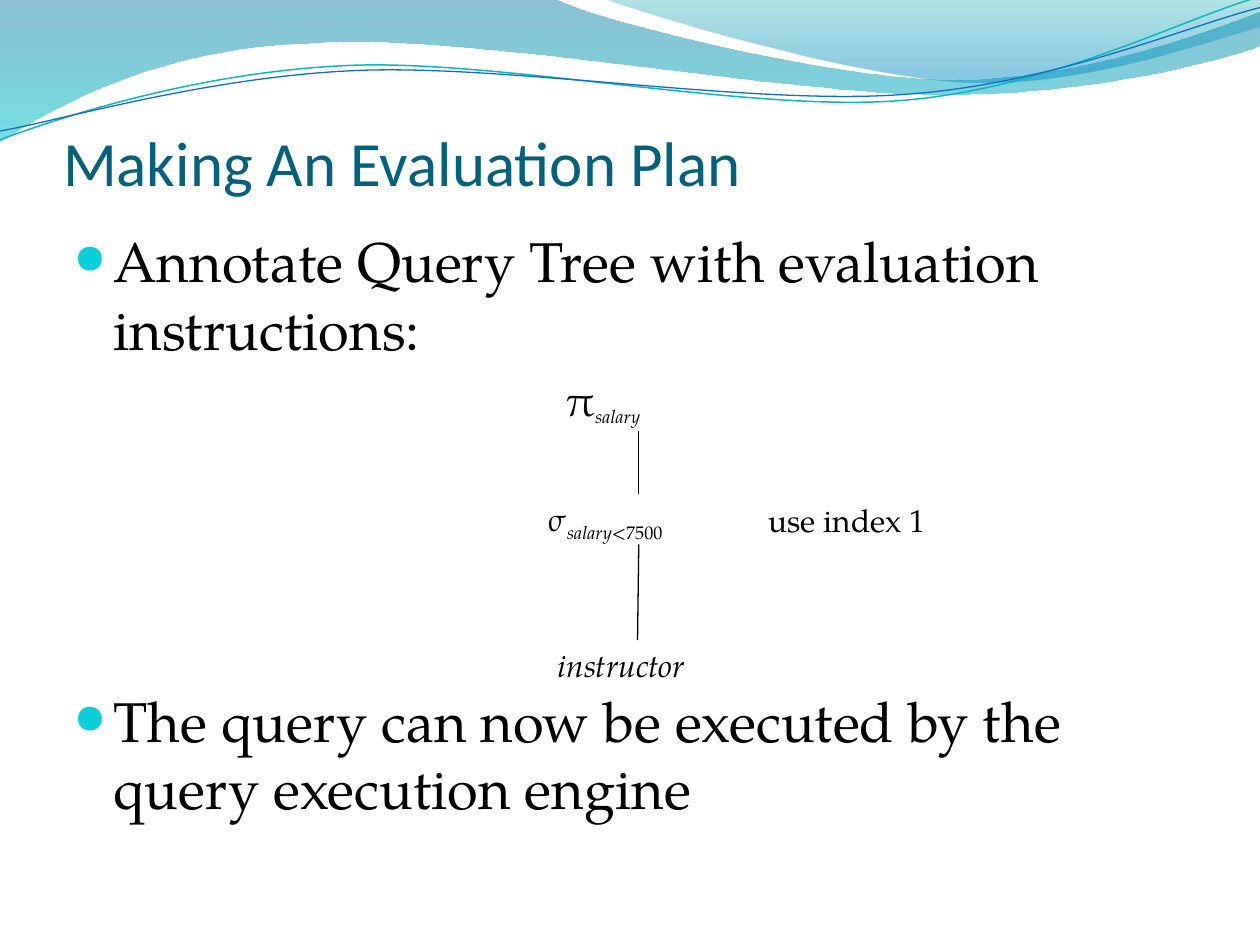
from dataclasses import dataclass
from typing import NamedTuple

from lxml import etree
from pptx import Presentation
from pptx.dml.color import RGBColor
from pptx.enum.shapes import MSO_CONNECTOR
from pptx.enum.text import MSO_ANCHOR, MSO_AUTO_SIZE, PP_ALIGN
from pptx.oxml.ns import qn
from pptx.util import Inches, Pt

STRAIGHT = MSO_CONNECTOR.STRAIGHT
TOP, BOTTOM = MSO_ANCHOR.TOP, MSO_ANCHOR.BOTTOM
NO_FIT = MSO_AUTO_SIZE.NONE
LEFT = PP_ALIGN.LEFT

COLUMNS, ROWS = 10, 7.5
UNIT = Inches(1)  # one grid column or row
MARGIN = 0.5

SERIF, SANS = "TeX Gyre Pagella", "Calibri"
BLACK, TEAL, AQUA = "000000", "04617B", "0BD0D9"

Point = tuple[float, float]


class Stop(NamedTuple):
    position: float
    color: str
    opacity: int


class Piece(NamedTuple):
    text: str
    size: int = 18
    italic: bool = False
    subscript: bool = False


@dataclass
class Wave:
    start: Point
    segments: list[tuple[float, ...]]  # an end point, or two control points and an end point
    stops: tuple[Stop, ...] = ()
    line: str = ""
    weight: float = 0


@dataclass
class Node:
    column: float
    row: float
    width: float
    height: float
    pieces: list[Piece]
    wrap: bool = True


WAVES = [
    Wave((0, 0), [(4.4, -0.01), (4.76, 0.17, 6.64, 0.63, 7.58, 0.63),
                  (8.53, 0.63, 9.58, 0.26, 10, 0.09), (10.01, 0.36),
                  (9.83, 0.44, 8.7, 0.76, 7.46, 0.75), (6.22, 0.75, 3.82, 0.28, 2.57, 0.34),
                  (1.29, 0.36, 0.46, 0.83, -0.01, 1.13)],
         stops=(Stop(0, "0074A1", 45), Stop(1, "00C6CF", 55))),
    Wave((4.79, -0.01), [(5.09, 0.11, 6.82, 0.62, 7.69, 0.65),
                         (8.56, 0.69, 9.61, 0.32, 10, 0.21), (10, 0)],
         stops=(Stop(0, "00A1A9", 30), Stop(0.8, "008BBF", 45))),
    Wave((0, 1.11), [(0.48, 0.93, 1.58, 0.57, 2.77, 0.52), (3.95, 0.47, 5.93, 0.89, 7.13, 0.8),
                     (8.33, 0.71, 9.38, 0.15, 9.98, -0.02)], line="0AB8BF", weight=0.85),
    Wave((0, 1.04), [(0.47, 0.96, 1.64, 0.61, 2.83, 0.56), (4.03, 0.51, 5.97, 0.84, 7.17, 0.75),
                     (8.36, 0.67, 9.41, 0.21, 10, 0.06)], line="0F6FC6", weight=0.75),
]

NODES = [
    Node(4.39, 2.92, 1.36, 0.5, [Piece("π", 24), Piece("salary", italic=True, subscript=True)]),
    Node(4.25, 3.92, 1.63, 0.4, [Piece("σ"), Piece("salary", italic=True, subscript=True),
                                 Piece("<7500", subscript=True)]),
    Node(4.33, 5.08, 1.45, 0.4, [Piece("instructor", italic=True)]),
    Node(6, 3.93, 1.48, 0.4, [Piece("use index 1")], wrap=False),
]
BRANCHES = [((5.07, 3.42), (5.07, 3.92)), ((5.07, 4.32), (5.06, 5.08))]

BULLETS = ["Annotate Query Tree with evaluation instructions:",
           "The query can now be executed by the query execution engine"]
TREE_GAP = 186  # points left free between the bullets for the query tree


def grid(*lengths: float) -> list[int]:
    return [round(length * UNIT) for length in lengths]


def rgb(color: str) -> RGBColor:
    return RGBColor.from_string(color)


def set_font(font, face: str, size: float, color: str) -> None:
    font.name, font.size = face, Pt(size)
    font.color.rgb = rgb(color)


def bend(shape, segments: list[tuple[float, ...]]) -> None:
    """Join the straight steps of each six-number segment into one Bézier curve."""
    steps = iter(list(shape.element.iter(qn("a:lnTo"))))
    for segment in segments:
        first = next(steps)
        if len(segment) == 6:
            first.tag = qn("a:cubicBezTo")
            for _ in range(2):
                step = next(steps)
                first.append(step[0])
                step.getparent().remove(step)


def draw_wave(shapes, wave: Wave) -> None:
    builder = shapes.build_freeform(*grid(*wave.start))
    points = [grid(*segment[i:i + 2]) for segment in wave.segments
              for i in range(0, len(segment), 2)]
    builder.add_line_segments(points, close=False)
    shape = builder.convert_to_shape()
    bend(shape, wave.segments)
    shape.shadow.inherit = False
    if not wave.stops:
        shape.fill.background()
        shape.line.color.rgb = rgb(wave.line)
        shape.line.width = Pt(wave.weight)
        return
    for outline in shape.element.iter(qn("a:path")):
        etree.SubElement(outline, qn("a:close"))
    shape.line.fill.background()
    shape.fill.gradient()
    shape.fill.gradient_angle = 270
    for target, stop in zip(shape.fill.gradient_stops, wave.stops):
        target.position = stop.position
        target.color.rgb = rgb(stop.color)
    for element, stop in zip(shape.element.iter(qn("a:gs")), wave.stops):
        etree.SubElement(element[0], qn("a:alpha"), val=str(stop.opacity * 1000))


def place(shape, column: float, row: float, width: float, height: float) -> None:
    shape.left, shape.top, shape.width, shape.height = grid(column, row, width, height)


def write_title(title) -> None:
    place(title, MARGIN, 0.33, COLUMNS - 2 * MARGIN, 1.25)
    frame = title.text_frame
    frame.text = "Making An Evaluation Plan"
    frame.auto_size, frame.vertical_anchor = NO_FIT, BOTTOM
    frame.margin_left = frame.margin_right = frame.margin_bottom = 0
    paragraph = frame.paragraphs[0]
    paragraph.alignment = LEFT
    set_font(paragraph.font, SANS, 36, TEAL)


def add_bullet(paragraph) -> None:
    properties = paragraph._p.get_or_add_pPr()
    indent = Inches(0.3)
    properties.set("marL", str(indent))
    properties.set("indent", str(-indent))
    color = etree.SubElement(properties, qn("a:buClr"))
    etree.SubElement(color, qn("a:srgbClr"), val=AQUA)
    etree.SubElement(properties, qn("a:buSzPct"), val="67000")
    etree.SubElement(properties, qn("a:buFont"), typeface=SERIF)
    etree.SubElement(properties, qn("a:buChar"), char="●")


def write_bullets(body) -> None:
    place(body, MARGIN, 1.75, COLUMNS - 2 * MARGIN, 5.08)
    frame = body.text_frame
    frame.text = "\n".join(BULLETS)
    frame.auto_size, frame.vertical_anchor = NO_FIT, TOP
    for paragraph, gap in zip(frame.paragraphs, (0, TREE_GAP)):
        add_bullet(paragraph)
        paragraph.space_before = Pt(gap)
        set_font(paragraph.font, SERIF, 32, BLACK)


def draw_node(shapes, node: Node) -> None:
    box = shapes.add_textbox(*grid(node.column, node.row, node.width, node.height))
    box.text_frame.word_wrap = node.wrap
    paragraph = box.text_frame.paragraphs[0]
    set_font(paragraph.font, SERIF, 18, BLACK)
    for piece in node.pieces:
        run = paragraph.add_run()
        run.text = piece.text
        run.font.size = Pt(piece.size)
        run.font.italic = piece.italic
        if piece.subscript:
            run._r.get_or_add_rPr().set("baseline", "-25000")


def draw_branch(shapes, start: Point, end: Point) -> None:
    branch = shapes.add_connector(STRAIGHT, *grid(*start, *end))
    branch.line.color.rgb = rgb(BLACK)
    branch.line.width = Pt(0.75)
    etree.SubElement(branch.element.spPr, qn("a:effectLst"))


def main() -> None:
    deck = Presentation()
    deck.slide_width, deck.slide_height = grid(COLUMNS, ROWS)
    slide = deck.slides.add_slide(deck.slide_layouts[1])
    shapes = slide.shapes
    title, body = shapes.title, slide.placeholders[1]

    # Decorative waves, behind the text
    for wave in WAVES:
        draw_wave(shapes, wave)
    for holder in (title, body):
        holder.element.getparent().append(holder.element)

    # Title and bullets
    write_title(title)
    write_bullets(body)

    # Query tree
    for node in NODES:
        draw_node(shapes, node)
    for start, end in BRANCHES:
        draw_branch(shapes, start, end)

    deck.save("out.pptx")


if __name__ == "__main__":
    main()
